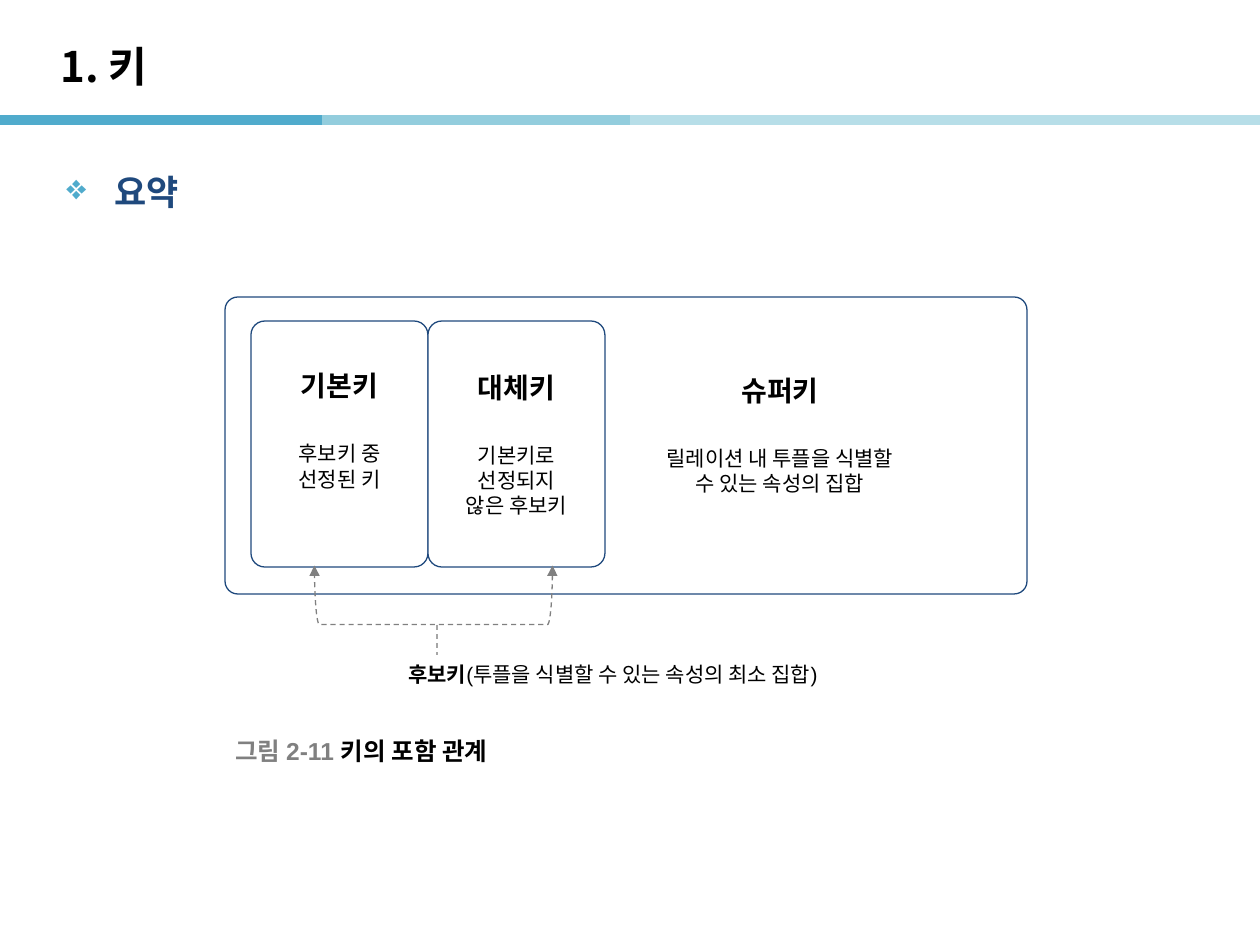
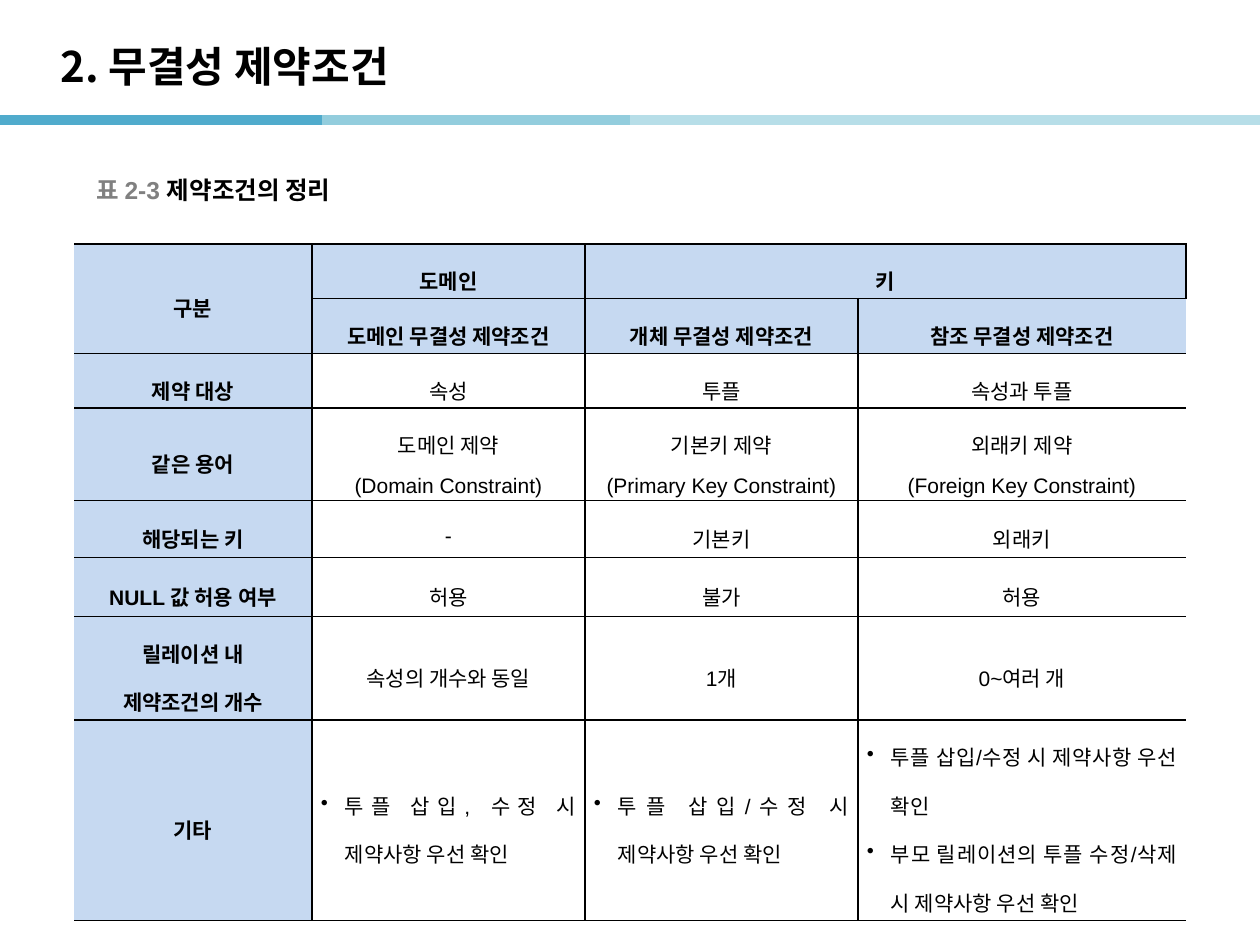
from dataclasses import dataclass

from lxml import etree
from pptx import Presentation
from pptx.dml.color import RGBColor
from pptx.enum.dml import MSO_LINE
from pptx.enum.shapes import MSO_CONNECTOR, MSO_SHAPE
from pptx.enum.text import MSO_ANCHOR, MSO_AUTO_SIZE, PP_ALIGN
from pptx.oxml.ns import qn
from pptx.util import Emu, Pt


@dataclass(frozen=True)
class Theme:
    black: str = "000000"
    white: str = "FFFFFF"
    navy: str = "1F497D"
    teal: str = "50ABCC"
    aqua: str = "93CDDD"
    mist: str = "B7DEE8"
    header: str = "C6D9F1"
    gray: str = "808080"
    silver: str = "A6A6A6"
    latin: str = "Arial"
    korean: str = "Noto Sans CJK KR"
    title: int = 24
    section: int = 20
    key: int = 16
    caption: int = 14
    body: int = 12
    hairline: float = 0.75
    band: int = 6


theme = Theme()


def px(length):
    return Emu(length * 914400 // 126)


def write(frame, text, size=theme.body, color=theme.black, bold=False,
          latin=theme.latin, korean=None, align=PP_ALIGN.LEFT, before=0,
          spacing=None, bullet=None, bullet_color=theme.black, hang=0, join=False):
    paragraph = frame.paragraphs[-1]
    if paragraph.runs and not join:
        paragraph = frame.add_paragraph()
    if bullet:
        properties = paragraph._p.get_or_add_pPr()
        properties.set("marL", str(px(hang)))
        properties.set("indent", str(-px(hang)))
        tint = etree.SubElement(properties, qn("a:buClr"))
        etree.SubElement(tint, qn("a:srgbClr"), val=bullet_color)
        etree.SubElement(properties, qn("a:buChar"), char=bullet)
    if not join:
        paragraph.alignment = align
    if before:
        paragraph.space_before = Pt(before)
    if spacing:
        paragraph.line_spacing = spacing
    run = paragraph.add_run()
    run.text = text
    run.font.size = Pt(size)
    run.font.bold = bold
    run.font.color.rgb = RGBColor.from_string(color)
    run.font.name = latin
    if korean:
        etree.SubElement(run._r.get_or_add_rPr(), qn("a:ea"), typeface=korean)


deck = Presentation()
deck.slide_width, deck.slide_height = px(1260), px(945)
title_only = deck.slide_layouts[5]

slides = []
for heading in ("1. 키", "2. 무결성 제약조건"):
    slide = deck.slides.add_slide(title_only)
    title = slide.shapes.title
    title.left, title.top, title.width, title.height = px(48), px(28), px(1042), px(76)
    title.text_frame.auto_size = MSO_AUTO_SIZE.NONE
    title.text_frame.vertical_anchor = MSO_ANCHOR.MIDDLE
    write(title.text_frame, heading, size=theme.title, bold=True,
          latin=theme.korean, korean=theme.korean)
    slides.append(slide)
keys, constraints = slides

super_key = (225, 297, 802, 297, 0.043, 320, 27, "슈퍼키",
             ["릴레이션 내 투플을 식별할", "수 있는 속성의 집합"])
primary_key = (251, 321, 177, 246, 0.078, 12, 34, "기본키",
               ["후보키 중", "선정된 키"])
alternate_key = (428, 321, 177, 246, 0.078, 12, 6, "대체키",
                 ["기본키로", "선정되지", "않은 후보키"])
for left, top, width, height, corner, inset, lift, name, meaning in (
        super_key, primary_key, alternate_key):
    key = keys.shapes.add_shape(MSO_SHAPE.ROUNDED_RECTANGLE,
                                px(left), px(top), px(width), px(height))
    key.adjustments[0] = corner
    key.shadow.inherit = False
    key.fill.solid()
    key.fill.fore_color.rgb = RGBColor.from_string(theme.white)
    key.line.color.rgb = RGBColor.from_string(theme.navy)
    key.line.width = Pt(theme.hairline)
    frame = key.text_frame
    frame.word_wrap = True
    frame.vertical_anchor = MSO_ANCHOR.MIDDLE
    frame.margin_left, frame.margin_right = px(inset), px(12)
    frame.margin_top, frame.margin_bottom = px(6), px(lift)
    write(frame, name, size=theme.key, bold=True, align=PP_ALIGN.CENTER)
    for index, line in enumerate(meaning):
        write(frame, line, align=PP_ALIGN.CENTER, before=0 if index else 22)

candidate = keys.shapes.add_shape(MSO_SHAPE.LEFT_BRACKET, px(404), px(476), px(59), px(238))
candidate.rotation = 270
candidate.shadow.inherit = False
candidate.fill.background()
candidate.line.color.rgb = RGBColor.from_string(theme.gray)
candidate.line.width = Pt(theme.hairline)
candidate.line.dash_style = MSO_LINE.DASH
for end in ("a:headEnd", "a:tailEnd"):
    etree.SubElement(candidate.line._get_or_add_ln(), qn(end), type="triangle")

for start_x, start_y, end_x, end_y, color, weight, shared in (
        (0, 120, 322, 120, theme.teal, theme.band, True),
        (322, 120, 630, 120, theme.aqua, theme.band, True),
        (630, 120, 1260, 120, theme.mist, theme.band, True),
        (437, 625, 437, 655, theme.silver, theme.hairline, False)):
    rule = keys.shapes.add_connector(MSO_CONNECTOR.STRAIGHT, px(start_x), px(start_y),
                                     px(end_x), px(end_y))
    rule.line.color.rgb = RGBColor.from_string(color)
    rule.line.width = Pt(weight)
    etree.SubElement(rule.element.spPr, qn("a:effectLst"))
    if shared:
        title_only.element.cSld.spTree.append(rule.element)
    else:
        rule.line.dash_style = MSO_LINE.DASH

grades = [["구분", "도메인", "키", ""],
          ["", "도메인 무결성 제약조건", "개체 무결성 제약조건", "참조 무결성 제약조건"],
          ["제약 대상", "속성", "투플", "속성과 투플"],
          ["같은 용어", "도메인 제약\n(Domain Constraint)",
           "기본키 제약\n(Primary Key Constraint)",
           "외래키 제약\n(Foreign Key Constraint)"],
          ["해당되는 키", "-", "기본키", "외래키"],
          ["NULL 값 허용 여부", "허용", "불가", "허용"],
          ["릴레이션 내\n제약조건의 개수", "속성의 개수와 동일", "1개", "0~여러 개"],
          ["기타", "투플 삽입, 수정 시 제약사항 우선 확인",
           "투플 삽입/수정 시 제약사항 우선 확인",
           "투플 삽입/수정 시 제약사항 우선 확인\n"
           "부모 릴레이션의 투플 수정/삭제 시 제약사항 우선 확인"]]
column_widths = [238, 273, 273, 328]
row_heights = [53, 53, 54, 92, 57, 59, 102, 199]
summary = constraints.shapes.add_table(
    len(row_heights), len(column_widths), px(74), px(244),
    px(sum(column_widths)), px(sum(row_heights))).table
summary.first_row = summary.horz_banding = False
for column, width in zip(summary.columns, column_widths):
    column.width = px(width)
for row, height in zip(summary.rows, row_heights):
    row.height = px(height)
summary.cell(0, 0).merge(summary.cell(1, 0))
summary.cell(0, 2).merge(summary.cell(0, 3))

for r, entries in enumerate(grades):
    for c, entry in enumerate(entries):
        cell = summary.cell(r, c)
        cell.vertical_anchor = MSO_ANCHOR.MIDDLE
        cell.margin_left = cell.margin_right = px(9)
        cell.margin_top = cell.margin_bottom = px(3)
        outer = {0: "a:lnL", len(entries) - 1: "a:lnR"}.get(c)
        for side in ("a:lnL", "a:lnR", "a:lnT", "a:lnB"):
            border = etree.SubElement(cell._tc.get_or_add_tcPr(), qn(side), w=str(Pt(1)))
            if side == outer:
                etree.SubElement(border, qn("a:noFill"))
            else:
                ink = etree.SubElement(border, qn("a:solidFill"))
                etree.SubElement(ink, qn("a:srgbClr"), val=theme.black)
        is_header = r < 2 or c == 0
        if is_header:
            cell.fill.solid()
            cell.fill.fore_color.rgb = RGBColor.from_string(theme.header)
        else:
            cell.fill.background()
        is_note = r == len(grades) - 1 and c > 0
        for line in entry.split("\n") if entry else []:
            write(cell.text_frame, line, bold=is_header, korean=theme.korean,
                  latin=theme.korean if r < 2 else theme.latin, spacing=1.6,
                  align=PP_ALIGN.JUSTIFY if is_note else PP_ALIGN.CENTER,
                  bullet="•" if is_note else None, hang=24)

section = dict(size=theme.section, color=theme.navy, bold=True, bullet="❖",
               bullet_color=theme.teal, hang=48)
number = dict(size=theme.caption, color=theme.gray, bold=True)
caption = dict(size=theme.caption, bold=True)
for slide, left, top, width, height, parts in (
        (keys, 54, 157, 1111, 68, [("요약", section)]),
        (keys, 396, 655, 515, 38, [("후보키", dict(bold=True)),
                                   ("(투플을 식별할 수 있는 속성의 최소 집합)", {})]),
        (keys, 223, 731, 400, 39, [("그림 2-11 ", number), ("키의 포함 관계", caption)]),
        (constraints, 84, 170, 400, 39, [("표 2-3 ", number), ("제약조건의 정리", caption)])):
    label = slide.shapes.add_textbox(px(left), px(top), px(width), px(height)).text_frame
    label.word_wrap = True
    label.vertical_anchor = MSO_ANCHOR.MIDDLE
    for index, (text, look) in enumerate(parts):
        write(label, text, join=index > 0, **look)

deck.save("out.pptx")
